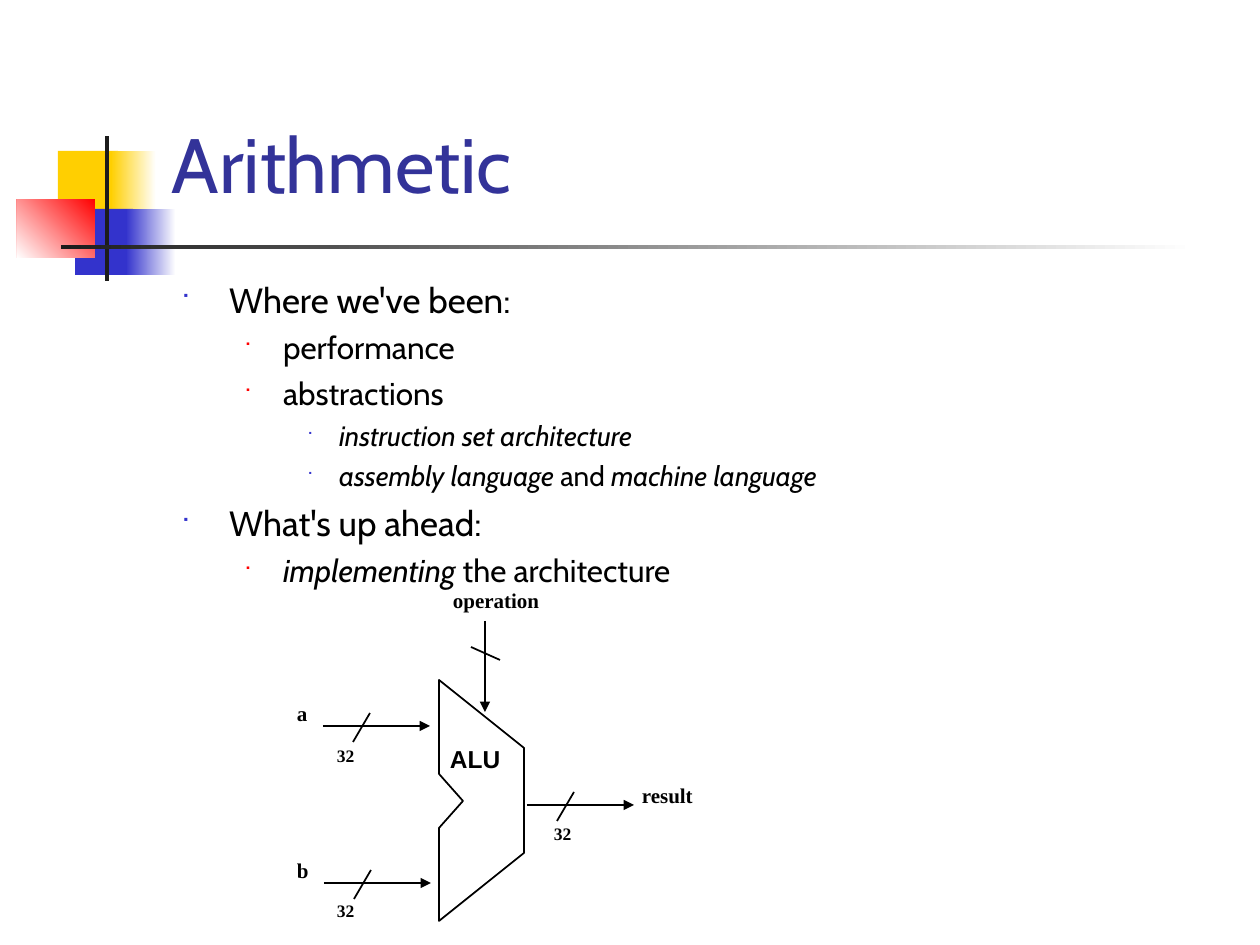
"""Build the Arithmetic slide with its outline and ALU diagram."""
import dataclasses

import lxml.etree
import pptx
import pptx.dml.color
import pptx.enum.shapes
import pptx.enum.text
import pptx.oxml.ns
import pptx.util

SCALE = 914400 / 126


@dataclasses.dataclass(frozen=True)
class Theme:
    """Hold the colours, fonts and type sizes of the slide."""

    yellow: str = "FFCF01"
    blue: str = "3333CC"
    red: str = "FF0000"
    white: str = "FFFFFF"
    dark: str = "1C1C1C"
    title: str = "333399"
    ink: str = "000000"
    main_font: str = "Cabin"
    label_font: str = "Times New Roman"
    alu_font: str = "Arial"
    title_size: int = 44
    body_sizes: tuple = (20, 18, 16)
    label_size: int = 12
    width_size: int = 10
    alu_size: int = 14


T = Theme()
LEVELS = (
    dict(left=48, hang=48, before=5, color=T.blue, percent=60),
    dict(left=102, hang=39, before=4.5, color=T.red, percent=55),
    dict(left=158, hang=32, before=4, color=T.blue, percent=50),
)
OUTLINE = (
    (0, [("Where we've been:", False)]),
    (1, [("performance", False)]),
    (1, [("abstractions", False)]),
    (2, [("instruction set architecture", True)]),
    (2, [("assembly language", True), (" and ", False), ("machine language", True)]),
    (0, [("What's up ahead:", False)]),
    (1, [("implementing", True), (" the architecture", False)]),
)


def px(n):
    """Turn pixels into EMU."""
    return pptx.util.Emu(round(n * SCALE))


def rgb(color):
    """Return a colour object for a hex string."""
    return pptx.dml.color.RGBColor.from_string(color)


def sub(parent, tag, **attrs):
    """Append a DrawingML child element."""
    return lxml.etree.SubElement(parent, pptx.oxml.ns.qn(tag), attrs)


def add_text(p, text, size, font=T.main_font, color=T.ink, bold=False, italic=False):
    """Add a formatted run to a paragraph."""
    r = p.add_run()
    r.text = text
    r.font.size = pptx.util.Pt(size)
    r.font.name = font
    r.font.color.rgb = rgb(color)
    r.font.bold = bold
    r.font.italic = italic


def add_box(shapes, x, y, w, h, inset=(13, 6)):
    """Add a wrapping text box and return its text frame."""
    tf = shapes.add_textbox(px(x), px(y), px(w), px(h)).text_frame
    tf.word_wrap = True
    tf.margin_left = tf.margin_right = px(inset[0])
    tf.margin_top = tf.margin_bottom = px(inset[1])
    return tf


def add_label(shapes, text, x, y, w, h, size, leading, gap=0, font=T.label_font):
    """Add a bold diagram label with exact line spacing."""
    p = add_box(shapes, x, y, w, h, inset=(3, 4)).paragraphs[0]
    p.line_spacing = pptx.util.Pt(leading)
    p.space_before = p.space_after = pptx.util.Pt(gap)
    add_text(p, text, size, font=font, bold=True)


def add_block(shapes, x, y, w, h, colors, angle=180):
    """Add a borderless rectangle with a solid or two-colour gradient fill."""
    sp = shapes.add_shape(
        pptx.enum.shapes.MSO_SHAPE.RECTANGLE, px(x), px(y), px(w), px(h))
    sp.shadow.inherit = False
    sp.line.fill.background()
    if len(colors) == 1:
        sp.fill.solid()
        sp.fill.fore_color.rgb = rgb(colors[0])
        return
    sp.fill.gradient()
    sp.fill.gradient_angle = angle
    for stop, color in zip(sp.fill.gradient_stops, colors):
        stop.color.rgb = rgb(color)


def add_line(shapes, x1, y1, x2, y2, arrow=False):
    """Add a straight line, with an arrowhead at its end if asked."""
    line = shapes.add_connector(
        pptx.enum.shapes.MSO_CONNECTOR.STRAIGHT, px(x1), px(y1), px(x2), px(y2))
    line.line.color.rgb = rgb(T.ink)
    line.line.width = pptx.util.Pt(1)
    if arrow:
        sub(line.line._get_or_add_ln(), "a:tailEnd", type="triangle")
    sub(line._element.spPr, "a:effectLst")


def add_bus(shapes, x, y, width_x, width_y):
    """Add a horizontal arrow with its slash and bit width."""
    add_line(shapes, x, y, x + 107, y, arrow=True)
    add_line(shapes, x + 47, y - 13, x + 30, y + 16)
    add_label(shapes, "32", width_x, width_y, 81, 38, T.width_size, 12)


def add_decoration(shapes):
    """Draw the coloured blocks and rules beside the title."""
    add_block(shapes, 58, 151, 60, 66, [T.yellow])
    add_block(shapes, 111, 151, 45, 66, [T.white, T.yellow])
    add_block(shapes, 75, 209, 58, 66, [T.blue])
    add_block(shapes, 126, 209, 50, 66, [T.white, T.blue])
    add_block(shapes, 17, 199, 78, 59, [T.red, T.white], angle=225)
    add_block(shapes, 105, 136, 4, 145, [T.dark])
    add_block(shapes, 61, 245, 1134, 4, [T.white, T.dark])


def add_title(slide, text):
    """Place and format the title placeholder."""
    title = slide.shapes.title
    title.left, title.top, title.width, title.height = map(px, (159, 84, 1073, 158))
    tf = title.text_frame
    tf.vertical_anchor = pptx.enum.text.MSO_ANCHOR.MIDDLE
    p = tf.paragraphs[0]
    p.alignment = pptx.enum.text.PP_ALIGN.LEFT
    add_text(p, text, T.title_size, color=T.title)


def set_bullet(p, level):
    """Give a paragraph the indent, spacing and bullet of its level."""
    style = LEVELS[level]
    p.level = level
    p.space_before = pptx.util.Pt(style["before"])
    pPr = p._p.get_or_add_pPr()
    pPr.set("marL", str(px(style["left"])))
    pPr.set("indent", str(-px(style["hang"])))
    sub(sub(pPr, "a:buClr"), "a:srgbClr", val=style["color"])
    sub(pPr, "a:buSzPct", val=str(style["percent"] * 1000))
    sub(pPr, "a:buFont", typeface="Wingdings")
    sub(pPr, "a:buChar", char="■")


def add_outline(shapes):
    """Add the bulleted outline."""
    tf = add_box(shapes, 168, 272, 1029, 525)
    for i, (level, runs) in enumerate(OUTLINE):
        p = tf.add_paragraph() if i else tf.paragraphs[0]
        set_bullet(p, level)
        for text, italic in runs:
            add_text(p, text, T.body_sizes[level], italic=italic)


def add_alu(shapes):
    """Draw the ALU with its inputs, operation and result."""
    fb = shapes.build_freeform(439, 680, scale=SCALE)
    fb.add_line_segments([(439, 774), (463, 801), (439, 828), (439, 921),
                          (524, 853), (524, 748)], close=True)
    sp = fb.convert_to_shape()
    sp.shadow.inherit = False
    sp.fill.background()
    sp.line.color.rgb = rgb(T.ink)
    sp.line.width = pptx.util.Pt(1)
    for x, y, width_x, width_y in ((323, 726, 334, 741), (324, 883, 334, 896),
                                   (527, 805, 551, 819)):
        add_bus(shapes, x, y, width_x, width_y)
    add_line(shapes, 485, 621, 485, 712, arrow=True)
    add_line(shapes, 471, 647, 500, 660)
    for text, x, y, w in (("operation", 450, 577, 163), ("result", 639, 772, 108),
                          ("a", 294, 690, 69), ("b", 294, 847, 69)):
        add_label(shapes, text, x, y, w, 69, T.label_size, 18, gap=6)
    add_label(shapes, "ALU", 447, 741, 98, 43, T.alu_size, 16, font=T.alu_font)


def main():
    """Build and save the slide."""
    prs = pptx.Presentation()
    prs.slide_width, prs.slide_height = px(1260), px(945)
    slide = prs.slides.add_slide(prs.slide_layouts[5])
    add_decoration(slide.shapes)
    add_title(slide, "Arithmetic")
    add_outline(slide.shapes)
    add_alu(slide.shapes.add_group_shape().shapes)
    prs.save("out.pptx")


if __name__ == "__main__":
    main()
